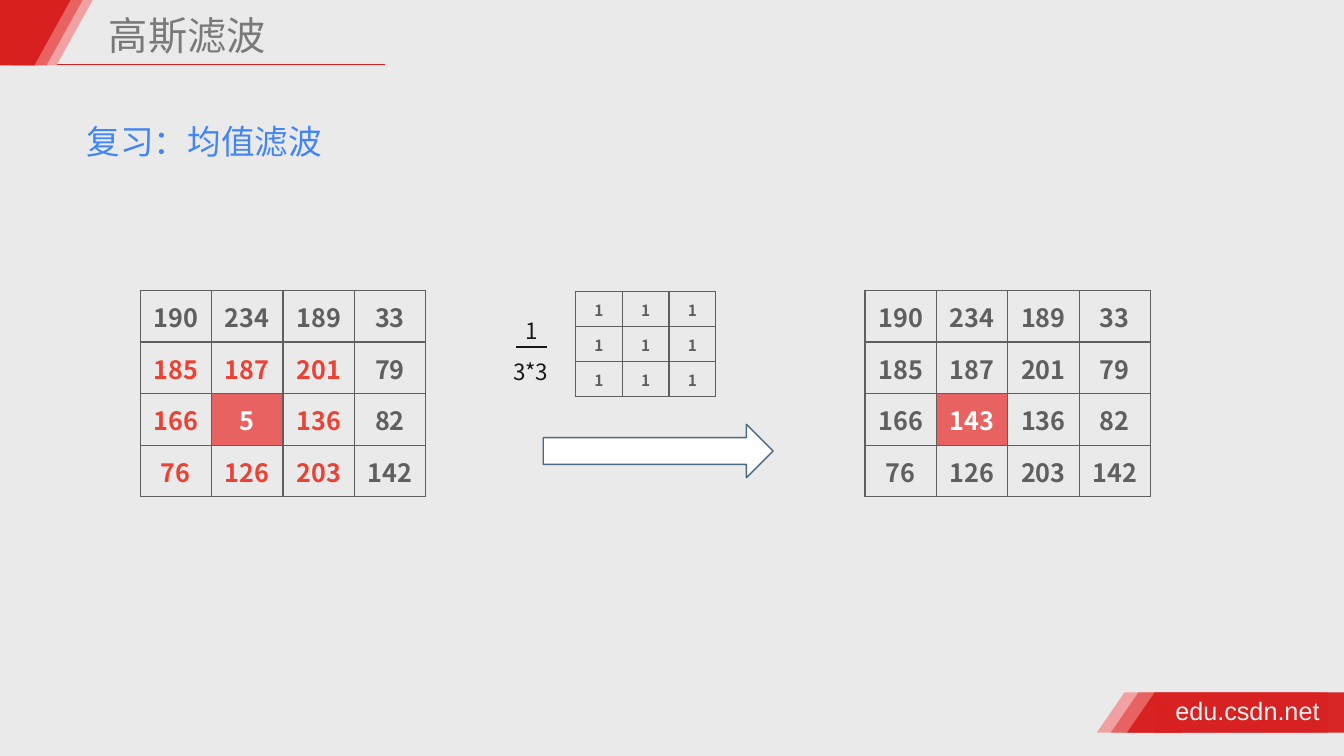
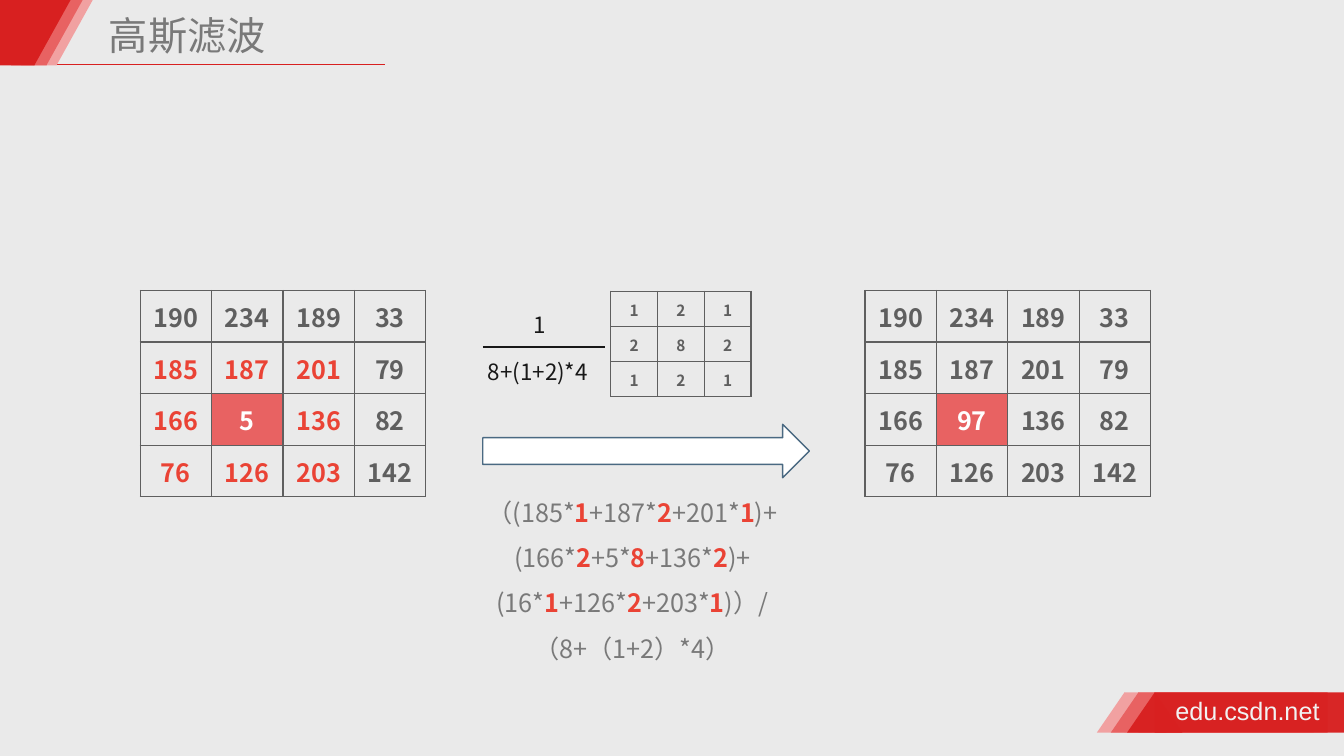
from lxml import etree
from pptx import Presentation
from pptx.dml.color import RGBColor
from pptx.enum.shapes import MSO_CONNECTOR, MSO_SHAPE
from pptx.enum.text import MSO_ANCHOR, MSO_AUTO_SIZE, PP_ALIGN
from pptx.oxml.ns import qn
from pptx.util import Pt

STRAIGHT = MSO_CONNECTOR.STRAIGHT
RECTANGLE, TRIANGLE = MSO_SHAPE.RECTANGLE, MSO_SHAPE.ISOSCELES_TRIANGLE
RIGHT_ARROW = MSO_SHAPE.RIGHT_ARROW
MIDDLE = MSO_ANCHOR.MIDDLE
FIT_SHAPE = MSO_AUTO_SIZE.SHAPE_TO_FIT_TEXT
LEFT, CENTER = PP_ALIGN.LEFT, PP_ALIGN.CENTER

BODY_FONT, FOOTER_FONT = "Noto Sans CJK SC", "Arial"
BACKGROUND, WHITE, FOOTER_TEXT = "EAEAEA", "FFFFFF", "F2F2F2"
RED, MID_RED, PALE_RED, ACCENT = "D82020", "E86262", "F1A1A1", "EA4335"
GREY, TABLE_GREY, INK = "797979", "5F5F5F", "181818"
BLUE, ARROW_LINE = "4285F4", "4A6982"

TITLE = "高斯滤波"
FOOTER = "edu.csdn.net"
HEADER_BANDS = [(14.4, PALE_RED), (7.2, MID_RED), (-1.44, RED)]
FOOTER_BANDS = [(783.4, PALE_RED, 100), (793.4, MID_RED, 100), (805, RED, 97)]

PIXELS = [
    [190, 234, 189, 33],
    [185, 187, 201, 79],
    [166, 5, 136, 82],
    [76, 126, 203, 142],
]
CENTRE = (2, 1)

SLIDES = [
    {
        "heading": "复习：均值滤波",
        "kernel": [[1, 1, 1], [1, 1, 1], [1, 1, 1]],
        "kernel_left": 411.1,
        "result": 143,
        "arrow": (388, 164.2),
        "numerator": ("1", 371.5, 213.1, 16.6),
        "denominator": ("3*3", 362.9, 242.6, 33.8),
        "fraction_bar": (368.6, 391),
        "formula": [],
    },
    {
        "heading": "",
        "kernel": [[1, 2, 1], [2, 8, 2], [1, 2, 1]],
        "kernel_left": 436.3,
        "result": 97,
        "arrow": (344.9, 233.3),
        "numerator": ("1", 377.3, 208.8, 16.6),
        "denominator": ("8+(1+2)*4", 344.9, 242.6, 87.1),
        "fraction_bar": (344.9, 432),
        "formula": [
            ["（(185*", "1", "+187*", "2", "+201*", "1", ")+"],
            ["(166*", "2", "+5*", "8", "+136*", "2", ")+"],
            ["(16*", "1", "+126*", "2", "+203*", "1", ")）/"],
            ["（8+（1+2）*4）"],
        ],
    },
]


def rgb(value):
    return RGBColor.from_string(value)


def style_paragraph(para, size, color, font=BODY_FONT, bold=False, align=LEFT, spacing=None):
    para.alignment = align
    if spacing:
        para.line_spacing = spacing
    para.font.size = Pt(size)
    para.font.name = font
    para.font.bold = bold
    para.font.color.rgb = rgb(color)
    defaults = para._p.pPr.find(qn("a:defRPr"))
    etree.SubElement(defaults, qn("a:ea")).set("typeface", font)


def add_text(page, lines, left, top, width, height, size, color, wrap=False, **style):
    box = page.shapes.add_textbox(Pt(left), Pt(top), Pt(width), Pt(height))
    frame = box.text_frame
    frame.word_wrap = wrap
    frame.auto_size = FIT_SHAPE
    frame.margin_left = frame.margin_right = Pt(3.6)
    frame.margin_top = frame.margin_bottom = Pt(3.6)
    for index, parts in enumerate(lines):
        para = frame.paragraphs[0] if index == 0 else frame.add_paragraph()
        style_paragraph(para, size, color, **style)
        for position, text in enumerate(parts):
            span = para.add_run()
            span.text = text
            if position % 2:
                span.font.bold = True
                span.font.color.rgb = rgb(ACCENT)


def add_shape(page, kind, left, top, width, height, fill, line=None, opacity=100, flipped=False):
    shape = page.shapes.add_shape(kind, Pt(left), Pt(top), Pt(width), Pt(height))
    shape.shadow.inherit = False
    shape.fill.solid()
    shape.fill.fore_color.rgb = rgb(fill)
    if opacity < 100:
        color = shape._element.spPr.find(qn("a:solidFill"))[0]
        etree.SubElement(color, qn("a:alpha")).set("val", str(opacity * 1000))
    if line:
        shape.line.color.rgb = rgb(line)
        shape.line.width = Pt(1)
    else:
        shape.line.fill.background()
    if flipped:
        shape._element.spPr.xfrm.set("flipV", "1")


def add_rule(page, start, end, y, color, width):
    rule = page.shapes.add_connector(STRAIGHT, Pt(start), Pt(y), Pt(end), Pt(y))
    rule.line.color.rgb = rgb(color)
    rule.line.width = Pt(width)
    etree.SubElement(rule._element.spPr, qn("a:effectLst"))


def add_borders(cell):
    properties = cell._tc.get_or_add_tcPr()
    for side in ("lnL", "lnR", "lnT", "lnB"):
        border = etree.SubElement(properties, qn(f"a:{side}"), w=str(Pt(1)))
        fill = etree.SubElement(border, qn("a:solidFill"))
        etree.SubElement(fill, qn("a:srgbClr"), val=TABLE_GREY)


def add_grid(page, values, left, top, cell_width, cell_height, size, colors=None, centre=None):
    rows, columns = len(values), len(values[0])
    frame = page.shapes.add_table(
        rows, columns, Pt(left), Pt(top), Pt(cell_width * columns), Pt(cell_height * rows)
    )
    table = frame.table
    table.first_row = table.horz_banding = False
    for column in table.columns:
        column.width = Pt(cell_width)
    for r, row in enumerate(values):
        table.rows[r].height = Pt(cell_height)
        for c, value in enumerate(row):
            cell = table.cell(r, c)
            cell.text = str(value)
            cell.vertical_anchor = MIDDLE
            cell.margin_left = cell.margin_right = cell.margin_top = Pt(0.72)
            cell.margin_bottom = Pt(0)
            add_borders(cell)
            if (r, c) == centre:
                cell.fill.solid()
                cell.fill.fore_color.rgb = rgb(MID_RED)
            else:
                cell.fill.background()
            color = colors[r][c] if colors else TABLE_GREY
            style_paragraph(cell.text_frame.paragraphs[0], size, color, bold=True, align=CENTER)


def add_pixels(page, left, centre_value, mark_neighbours):
    values = [list(row) for row in PIXELS]
    colors = [[TABLE_GREY] * len(row) for row in PIXELS]
    row, column = CENTRE
    if mark_neighbours:
        for r in range(row - 1, row + 2):
            for c in range(column - 1, column + 2):
                colors[r][c] = ACCENT
    values[row][column] = centre_value
    colors[row][column] = WHITE
    add_grid(page, values, left, 207.4, 51, 36.9, 18, colors, CENTRE)


def add_frame(page):
    add_rule(page, 35.3, 275, 46.1, RED, 1)
    for left, color, opacity in FOOTER_BANDS:
        add_shape(page, RECTANGLE, left + 19.8, 494.6, 135.2, 28.8, color, opacity=opacity)
        add_shape(page, TRIANGLE, left, 494.6, 39.6, 28.8, color, opacity=opacity)
    add_text(page, [[FOOTER]], 835.9, 493.2, 111.6, 28.8, 18, FOOTER_TEXT, font=FOOTER_FONT)
    for left, color in HEADER_BANDS:
        add_shape(page, RECTANGLE, left + 0.72, 0, 25.2, 46.8, color)
        add_shape(page, TRIANGLE, left, 0, 51.84, 46.8, color, flipped=True)
    add_text(page, [[TITLE]], 74.2, 8.6, 313.9, 38.2, 28, GREY, wrap=True, spacing=0.9)


def add_filter(page, content):
    add_pixels(page, 100.1, PIXELS[CENTRE[0]][CENTRE[1]], True)
    arrow_left, arrow_width = content["arrow"]
    add_shape(page, RIGHT_ARROW, arrow_left, 303.1, arrow_width, 38.2, WHITE, ARROW_LINE)
    add_grid(page, content["kernel"], content["kernel_left"], 208.1, 33.4, 25, 11)
    for part in ("numerator", "denominator"):
        text, left, top, width = content[part]
        add_text(page, [[text]], left, top, width, 36, 16, INK, spacing=1.5)
    add_rule(page, *content["fraction_bar"], 247.7, INK, 1.5)
    add_pixels(page, 617.8, content["result"], False)
    if content["heading"]:
        add_text(page, [[content["heading"]]], 58.3, 68.4, 177.1, 51.1, 24, BLUE, spacing=1.5)
    if content["formula"]:
        add_text(page, content["formula"], 325.4, 340.6, 252.7, 138.2, 18, GREY,
                 wrap=True, align=CENTER, spacing=1.5)


def main():
    deck = Presentation()
    deck.slide_width, deck.slide_height = Pt(960), Pt(540)
    backdrop = deck.slide_master.background.fill
    backdrop.solid()
    backdrop.fore_color.rgb = rgb(BACKGROUND)
    for content in SLIDES:
        page = deck.slides.add_slide(deck.slide_layouts[6])
        add_frame(page)
        add_filter(page, content)
    deck.save("out.pptx")


if __name__ == "__main__":
    main()
